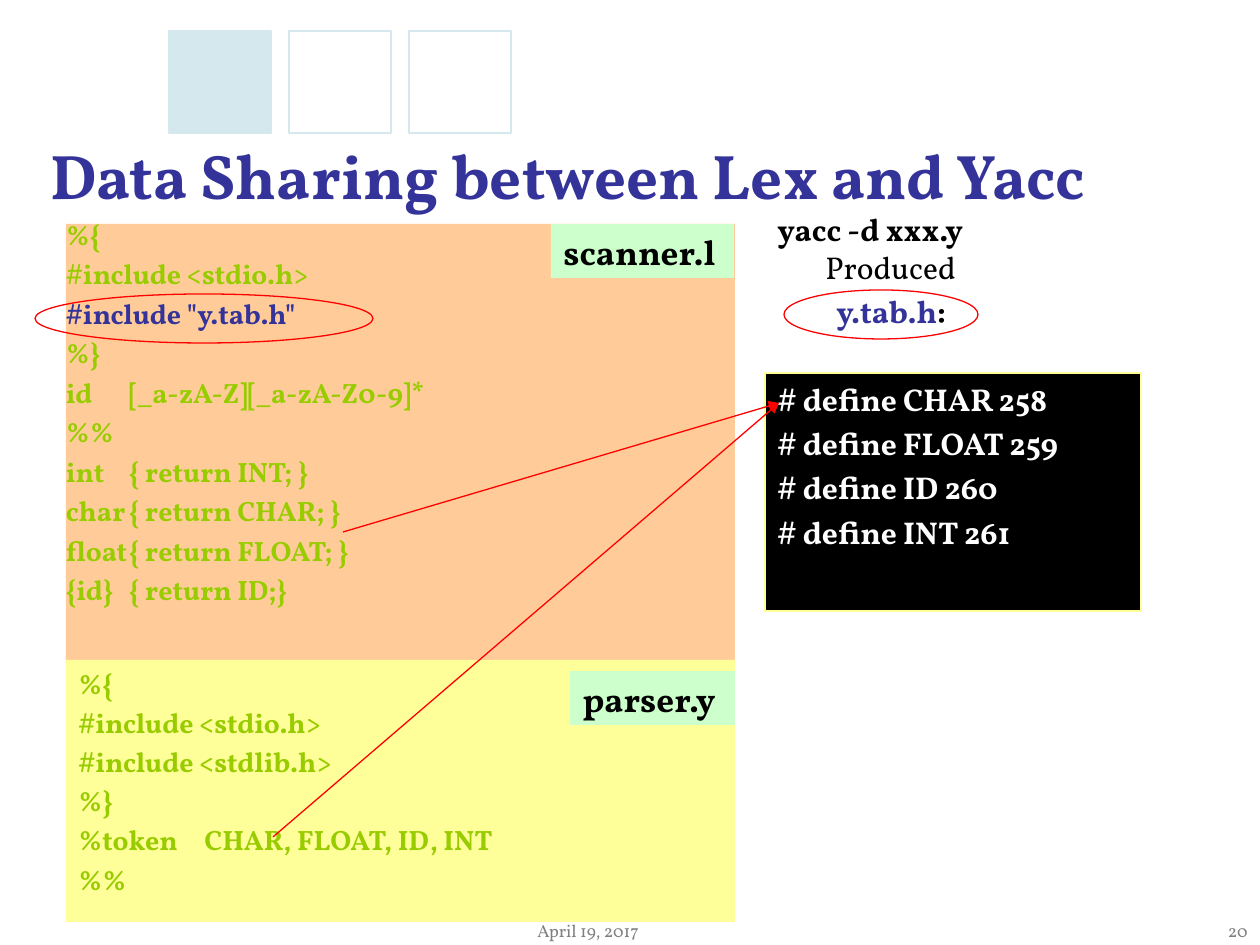
from dataclasses import dataclass
from typing import Optional

import pptx
import pptx.dml.color
import pptx.enum.shapes
import pptx.enum.text
import pptx.oxml
import pptx.oxml.ns
import pptx.util

RGB = pptx.dml.color.RGBColor
SHAPE = pptx.enum.shapes.MSO_SHAPE
ALIGN = pptx.enum.text.PP_ALIGN
ANCHOR = pptx.enum.text.MSO_ANCHOR
Pt = pptx.util.Pt

BLACK = RGB(0, 0, 0)
WHITE = RGB(0xFF, 0xFF, 0xFF)
GRAY = RGB(0x80, 0x80, 0x80)
RED = RGB(0xFF, 0, 0)
INDIGO = RGB(0x33, 0x33, 0x99)
LIME = RGB(0x99, 0xCC, 0)
PALE_BLUE = RGB(0xD5, 0xE8, 0xEE)
PEACH = RGB(0xFF, 0xCC, 0x99)
YELLOW = RGB(0xFF, 0xFF, 0x99)
MINT = RGB(0xCC, 0xFF, 0xCC)
FONT = "Vollkorn"


def px(n: float) -> int:
    return round(n * 914400 / 126)


@dataclass(frozen=True)
class Run:
    text: str
    color: RGB
    bold: bool = True
    break_before: bool = False


@dataclass(frozen=True)
class Para:
    runs: tuple[Run, ...]
    before: float = 0
    margin: int = 0
    indent: int = 0
    tab: int = 0


@dataclass(frozen=True)
class Text:
    paras: tuple[Para, ...]
    size: int
    spacing: float = 1
    inset: bool = True
    anchor: ANCHOR = ANCHOR.TOP
    align: ALIGN = ALIGN.LEFT


@dataclass(frozen=True)
class Box:
    left: int
    top: int
    width: int
    height: int
    kind: Optional[SHAPE] = SHAPE.RECTANGLE
    fill: Optional[RGB] = None
    line: Optional[RGB] = None
    weight: float = 0.75
    text: Optional[Text] = None


def single(text: str, size: int, color: RGB, bold: bool = True, **layout) -> Text:
    return Text((Para((Run(text, color, bold),)),), size, **layout)


def code(lines: list[tuple[str, int, RGB]], before: float, **layout) -> Text:
    return Text(tuple(Para((Run(t, c),), before, tab=tab) for t, tab, c in lines), 16, **layout)


def write(sp, text: Text) -> None:
    tf = sp.text_frame
    tf.word_wrap = True
    tf.vertical_anchor = text.anchor
    if not text.inset:
        tf.margin_left = tf.margin_right = tf.margin_top = tf.margin_bottom = 0
    for i, para in enumerate(text.paras):
        p = tf.paragraphs[0] if i == 0 else tf.add_paragraph()
        p.alignment = text.align
        p.line_spacing = text.spacing
        p.space_before = Pt(para.before)
        pPr = p._p.get_or_add_pPr()
        pPr.set("marL", str(px(para.margin)))
        pPr.set("indent", str(px(para.indent)))
        if para.tab:
            tabs = pptx.oxml.parse_xml(
                f'<a:tabLst {pptx.oxml.ns.nsdecls("a")}><a:tab pos="{px(para.tab)}" algn="l"/></a:tabLst>')
            pPr.append(tabs)
        for run in para.runs:
            if run.break_before:
                p.add_line_break()
            r = p.add_run()
            r.text = run.text
            r.font.name = FONT
            r.font.size = Pt(text.size)
            r.font.bold = run.bold
            r.font.color.rgb = run.color


def draw(shapes, box: Box) -> None:
    frame = [px(n) for n in (box.left, box.top, box.width, box.height)]
    if box.kind is None:
        sp = shapes.add_textbox(*frame)
    else:
        sp = shapes.add_shape(box.kind, *frame)
        sp.shadow.inherit = False
        if box.fill is None:
            sp.fill.background()
        else:
            sp.fill.solid()
            sp.fill.fore_color.rgb = box.fill
        if box.line is None:
            sp.line.fill.background()
        else:
            sp.line.color.rgb = box.line
            sp.line.width = Pt(box.weight)
    if box.text:
        write(sp, box.text)


def arrow(shapes, start: tuple[int, int], end: tuple[int, int]) -> None:
    cx = shapes.add_connector(
        pptx.enum.shapes.MSO_CONNECTOR.STRAIGHT, *(px(n) for n in start + end))
    cx.line.color.rgb = RED
    cx.line.width = Pt(0.75)
    ns = pptx.oxml.ns.nsdecls("a")
    cx.line._get_or_add_ln().append(pptx.oxml.parse_xml(f'<a:tailEnd {ns} type="triangle"/>'))
    cx._element.spPr.append(pptx.oxml.parse_xml(f"<a:effectLst {ns}/>"))


SCANNER = code([
    ("%{", 0, LIME),
    ("#include <stdio.h>", 0, LIME),
    ('#include "y.tab.h"', 0, INDIGO),
    ("%}", 0, LIME),
    ("id\t[_a-zA-Z][_a-zA-Z0-9]*", 70, LIME),
    ("%%", 0, LIME),
    ("int\t{ return INT; }", 78, LIME),
    ("char\t{ return CHAR; }", 93, LIME),
    ("float\t{ return FLOAT; }", 90, LIME),
    ("{id}\t{ return ID;}", 82, LIME),
], 7.2, spacing=0.8, inset=False)

PARSER = code([
    ("%{", 0, LIME),
    ("#include <stdio.h>", 0, LIME),
    ("#include <stdlib.h>", 0, LIME),
    ("%}", 0, LIME),
    ("%token\tCHAR, FLOAT, ID, INT", 110, LIME),
    ("%%", 0, LIME),
], 3.2)

TOKENS = ("CHAR", "FLOAT", "ID", "INT")
HEADER = Text((
    Para((Run("yacc -d xxx.y", BLACK), Run("Produced", BLACK, False, True)), 3.6, 48, -48),
    Para((Run("y.tab.h", INDIGO), Run(":", BLACK)), 3.6, 59),
    *(Para((Run(f"# define {name} {258 + i}", WHITE),), 3.6 if i else 28.8, 48, -48)
      for i, name in enumerate(TOKENS)),
), 18)

BOXES = [
    *(Box(169 + 120 * i, 31, 102, 102, fill=None if i else PALE_BLUE, line=PALE_BLUE, weight=1.5)
      for i in range(3)),
    Box(50, 135, 1143, 88, None, text=single(
        "Data Sharing between Lex and Yacc", 36, INDIGO,
        spacing=0.9, inset=False, anchor=ANCHOR.MIDDLE)),
    Box(525, 914, 208, 32, None, text=single("April 19, 2017", 10, GRAY, False)),
    Box(1196, 914, 64, 32, None, text=single("20", 10, GRAY, False, align=ALIGN.RIGHT)),
    Box(765, 373, 376, 238, fill=BLACK, line=YELLOW),
    Box(66, 224, 669, 440, fill=PEACH, text=SCANNER),
    Box(66, 660, 669, 262, fill=YELLOW, text=PARSER),
    Box(765, 204, 417, 694, None, text=HEADER),
    Box(570, 671, 165, 54, fill=MINT, text=single("parser.y", 20, BLACK)),
    Box(551, 224, 183, 54, fill=MINT, text=single("scanner.l", 20, BLACK)),
    Box(35, 294, 338, 49, SHAPE.OVAL, line=RED),
    Box(784, 290, 194, 49, SHAPE.OVAL, line=RED),
]

prs = pptx.Presentation()
prs.slide_width, prs.slide_height = px(1260), px(945)
s = prs.slides.add_slide(prs.slide_layouts[6])
for box in BOXES:
    draw(s.shapes, box)
for start in ((343, 532), (273, 837)):
    arrow(s.shapes, start, (779, 403))
prs.save("out.pptx")
